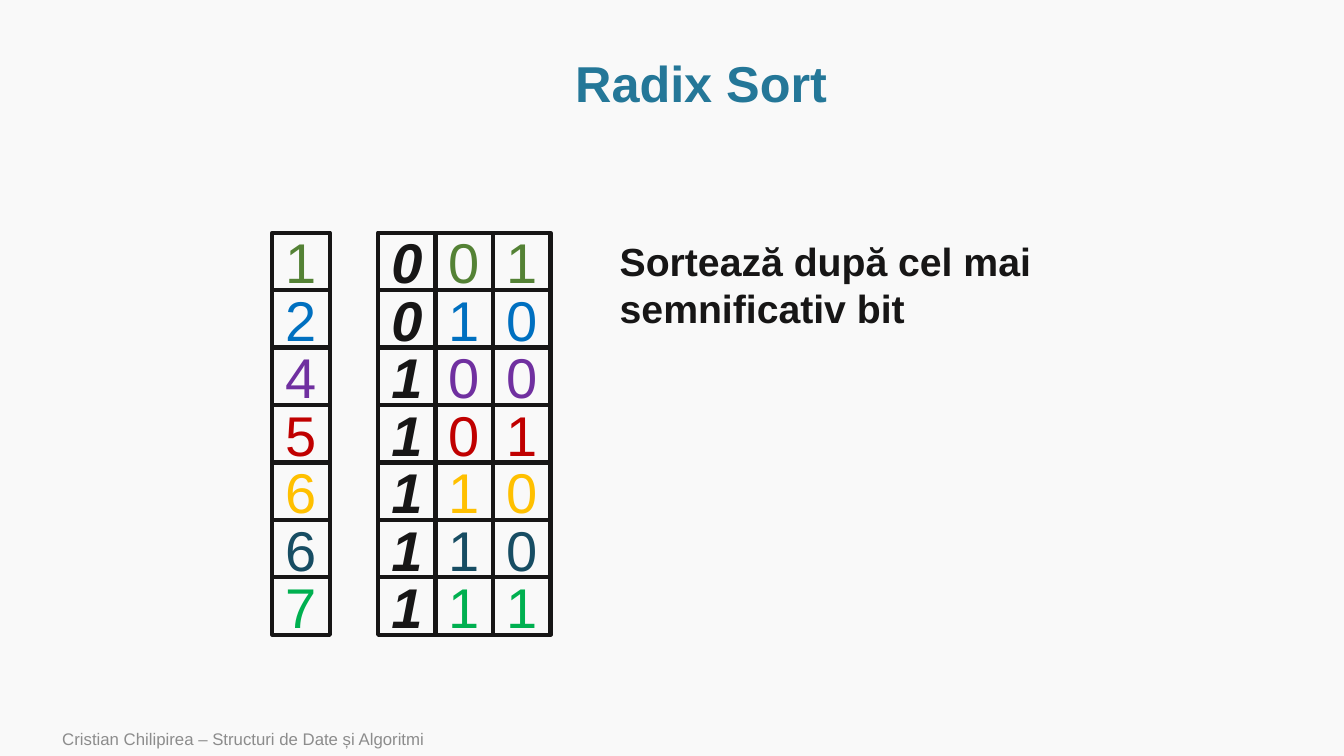
import pptx
import pptx.dml.color
import pptx.enum.shapes
import pptx.enum.text
import pptx.util
from dataclasses import dataclass

ALIGN = pptx.enum.text.PP_ALIGN
ANCHOR = pptx.enum.text.MSO_ANCHOR


@dataclass(frozen=True)
class Theme:
    font: str = "Arial"
    background: str = "F9F9F9"
    ink: str = "171616"
    heading: str = "247798"
    muted: str = "8C8C8C"
    heading_size: int = 36
    digit_size: int = 40
    body_size: int = 28
    footer_size: int = 12
    border: int = 3


THEME = Theme()
GRID = 0.57
FIRST_ROW = 4.05
DECIMAL_COLUMN = 4.74
BINARY_COLUMN = 6.58
BITS = 3
SORTED_NUMBERS = [
    (1, "548235"),
    (2, "0070C0"),
    (4, "7030A0"),
    (5, "C00000"),
    (6, "FFC000"),
    (6, "174D63"),
    (7, "00B050"),
]


def rgb(value):
    return pptx.dml.color.RGBColor.from_string(value)


def cells(*counts):
    return [pptx.util.Inches(GRID * count) for count in counts]


def apply_format(target, values):
    for name, value in values.items():
        setattr(target, name, value)


def write(shape, text, size, color, align=ALIGN.LEFT, anchor=ANCHOR.TOP,
          spacing=1.0, **style):
    frame = shape.text_frame
    apply_format(frame, {"text": text, "word_wrap": True, "vertical_anchor": anchor})
    paragraph = frame.paragraphs[0]
    apply_format(paragraph, {"alignment": align, "line_spacing": spacing})
    font = paragraph.runs[0].font
    apply_format(font, {"name": THEME.font, "size": pptx.util.Pt(size), **style})
    font.color.rgb = rgb(color)


def add_title(slide, text):
    title = slide.shapes.title
    left, top, width, height = cells(2, 0.9, 20.4, 1.21)
    apply_format(title, {"left": left, "top": top, "width": width, "height": height})
    write(title, text, THEME.heading_size, THEME.heading, ALIGN.CENTER,
          ANCHOR.MIDDLE, 0.9, bold=True)


def add_label(slide, area, text, size, color, **style):
    label = slide.shapes.add_textbox(*cells(*area))
    write(label, text, size, color, **style)


def add_digit(slide, column, row, digit, color, **style):
    square = slide.shapes.add_shape(
        pptx.enum.shapes.MSO_SHAPE.RECTANGLE, *cells(column, row, 1, 1))
    square.shadow.inherit = False
    square.fill.background()
    square.line.color.rgb = rgb(THEME.ink)
    square.line.width = pptx.util.Pt(THEME.border)
    write(square, digit, THEME.digit_size, color, ALIGN.CENTER, ANCHOR.MIDDLE, **style)


def add_decimals(slide):
    for row, (number, color) in enumerate(SORTED_NUMBERS):
        add_digit(slide, DECIMAL_COLUMN, FIRST_ROW + row, str(number), color)


def add_binaries(slide):
    for row, (number, color) in enumerate(SORTED_NUMBERS):
        for position, bit in enumerate(f"{number:0{BITS}b}"):
            leading = position == 0
            add_digit(slide, BINARY_COLUMN + position, FIRST_ROW + row, bit,
                      THEME.ink if leading else color, bold=leading, italic=leading)


def main():
    deck = pptx.Presentation()
    deck.slide_width = pptx.util.Inches(13.33)
    deck.slide_height = pptx.util.Inches(7.5)
    slide = deck.slides.add_slide(deck.slide_layouts.get_by_name("Title Only"))
    slide.background.fill.solid()
    slide.background.fill.fore_color.rgb = rgb(THEME.background)

    add_title(slide, "Radix Sort")
    add_decimals(slide)
    add_binaries(slide)
    add_label(slide, (10.61, FIRST_ROW, 9.51, 1.82),
              "Sortează după cel mai semnificativ bit",
              THEME.body_size, THEME.ink, bold=True)
    add_label(slide, (0.91, 12.56, 14.74, 0.6),
              "Cristian Chilipirea – Structuri de Date și Algoritmi",
              THEME.footer_size, THEME.muted, anchor=ANCHOR.MIDDLE)
    deck.save("out.pptx")


if __name__ == "__main__":
    main()
